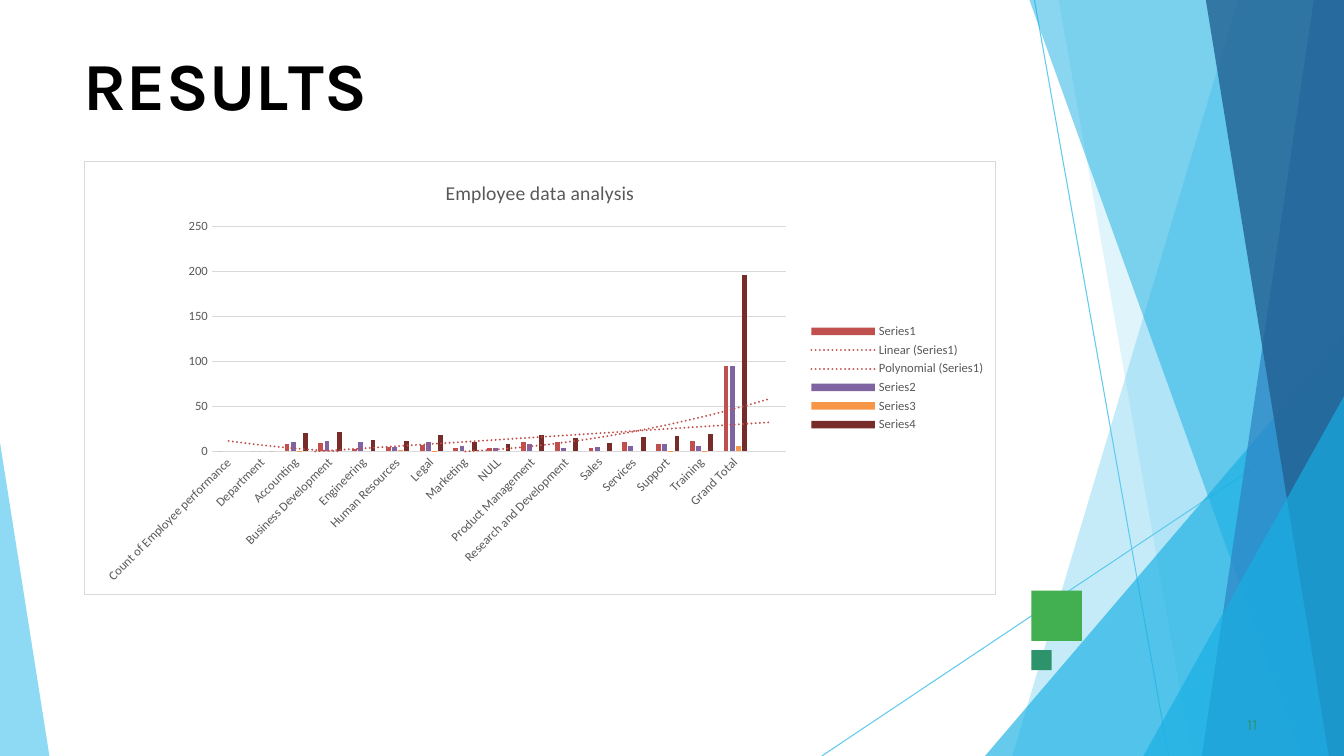
from pptx import Presentation
from pptx.chart.data import CategoryChartData
from pptx.dml.color import RGBColor
from pptx.enum.chart import XL_CHART_TYPE, XL_LEGEND_POSITION, XL_TICK_MARK
from pptx.enum.shapes import MSO_CONNECTOR, MSO_SHAPE
from pptx.enum.text import MSO_ANCHOR, MSO_AUTO_SIZE, PP_ALIGN
from pptx.oxml import parse_xml
from pptx.oxml.ns import qn
from pptx.util import Inches, Pt
from lxml import etree

COLUMNS = XL_CHART_TYPE.COLUMN_CLUSTERED
RIGHT = XL_LEGEND_POSITION.RIGHT
NO_TICK = XL_TICK_MARK.NONE
STRAIGHT = MSO_CONNECTOR.STRAIGHT
RECTANGLE = MSO_SHAPE.RECTANGLE
TOP = MSO_ANCHOR.TOP
NO_FIT = MSO_AUTO_SIZE.NONE
LEFT = PP_ALIGN.LEFT

BLACK = RGBColor(0x00, 0x00, 0x00)
WHITE = RGBColor(0xFF, 0xFF, 0xFF)
GREY = RGBColor(0x59, 0x59, 0x59)
RULE = RGBColor(0xD9, 0xD9, 0xD9)
SKY = RGBColor(0x5F, 0xCA, 0xEE)
CYAN = RGBColor(0x17, 0xAF, 0xE3)
BLUE = RGBColor(0x2D, 0x83, 0xC3)
NAVY = RGBColor(0x22, 0x61, 0x92)
GREEN = RGBColor(0x42, 0xAF, 0x51)
TEAL = RGBColor(0x2D, 0x93, 0x6B)
RED = RGBColor(0xC0, 0x50, 0x4D)
PURPLE = RGBColor(0x80, 0x64, 0xA2)
ORANGE = RGBColor(0xF7, 0x96, 0x46)
MAROON = RGBColor(0x77, 0x2C, 0x2A)

W, H = 13.33, 7.5
TITLE = [("R", 0), ("E", -40), ("S", 10), ("U", -30), ("L", -400), ("TS", 0)]
PAGE = "11"
RAYS = [(10.26, 0, 11.59, H), (W, 4.04, 8.15, H)]
FACETS = [
    ([(W, 0), (12.28, 0), (10.04, H), (W, H)], SKY, 36),
    ([(W, 0), (10.5, 0), (11.82, H), (W, H)], SKY, 20),
    ([(W, 3.33), (9.77, H), (W, H)], CYAN, 66),
    ([(W, 0), (10.21, 0), (12.91, H), (W, H)], CYAN, 50),
    ([(W, 0), (13.03, 0), (11.92, H), (W, H)], BLUE, 70),
    ([(W, 0), (11.96, 0), (13.18, H), (W, H)], NAVY, 80),
    ([(W, 3.93), (11.34, H), (W, H)], CYAN, 66),
    ([(0, 4.39), (0, H), (0.49, H)], SKY, 70),
]
SQUARES = [(10.23, 5.86, 0.5, GREEN), (10.23, 6.45, 0.2, TEAL)]

CHART_TITLE = "Employee data analysis"
DEPARTMENTS = [
    "Count of Employee performance", "Department", "Accounting",
    "Business Development", "Engineering", "Human Resources", "Legal",
    "Marketing", "NULL", "Product Management", "Research and Development",
    "Sales", "Services", "Support", "Training", "Grand Total", "",
]
N = None
SERIES = [
    ("Series1", RED, [0, 0, 8, 9, 3, 5, 7, 4, 4, 10, 11, 4, 10, 8, 12, 95, N]),
    ("Series2", PURPLE, [N, 0, 11, 12, 10, 5, 10, 6, 4, 8, 4, 5, 6, 8, 6, 95, N]),
    ("Series3", ORANGE, [N, 0, 1, N, N, 2, 1, N, N, N, N, N, N, 1, 1, 6, N]),
    ("Series4", MAROON, [N, 0, 20, 21, 13, 12, 18, 10, 8, 18, 15, 9, 16, 17, 19, 196, N]),
]
TRENDS = [
    ("Linear (Series1)", '<c:trendlineType val="linear"/>'),
    ("Polynomial (Series1)", '<c:trendlineType val="poly"/><c:order val="2"/>'),
]
PLOT_AREA = {"x": 0.14, "y": 0.15, "w": 0.63, "h": 0.52}
NS = ('xmlns:c="http://schemas.openxmlformats.org/drawingml/2006/chart" '
      'xmlns:a="http://schemas.openxmlformats.org/drawingml/2006/main"')


def set_font(font, size, color, name="Calibri", bold=False):
    font.size, font.name, font.bold = Pt(size), name, bold
    font.color.rgb = color


def paint(sp, color):
    sp.shadow.inherit = False
    sp.fill.solid()
    sp.fill.fore_color.rgb = color
    sp.line.fill.background()


def clear_margins(tf):
    tf.margin_left = tf.margin_right = tf.margin_bottom = 0
    tf.margin_top = Inches(0.01)
    tf.vertical_anchor = TOP
    tf.auto_size = NO_FIT
    tf.word_wrap = True


def add_backdrop(shapes):
    for ray in RAYS:
        line = shapes.add_connector(STRAIGHT, *map(Inches, ray))
        line.line.color.rgb = SKY
        line.line.width = Pt(0.75)
        etree.SubElement(line._element.spPr, qn("a:effectLst"))
    for points, color, opacity in FACETS:
        corners = [(Inches(x), Inches(y)) for x, y in points]
        builder = shapes.build_freeform(*corners[0])
        builder.add_line_segments(corners[1:], close=True)
        sp = builder.convert_to_shape()
        paint(sp, color)
        clr = sp._element.spPr.find(qn("a:solidFill"))[0]
        etree.SubElement(clr, qn("a:alpha")).set("val", str(opacity * 1000))
    for x, y, side, color in SQUARES:
        sp = shapes.add_shape(RECTANGLE, *map(Inches, (x, y, side, side)))
        paint(sp, color)


def add_title(title):
    title.left, title.top, title.width, title.height = map(
        Inches, (0.83, 0.42, 3.08, 0.81))
    tf = title.text_frame
    clear_margins(tf)
    p = tf.paragraphs[0]
    p.alignment = LEFT
    p.space_before = Pt(1.1)
    set_font(p.font, 48, BLACK, "Karla", True)
    for text, spacing in TITLE:
        r = p.add_run()
        r.text = text
        r.font._element.set("spc", str(spacing))


def add_page_number(shapes):
    tf = shapes.add_textbox(*map(Inches, (12.37, 7.08, 0.25, 0.21))).text_frame
    clear_margins(tf)
    p = tf.paragraphs[0]
    p.text = PAGE
    p.space_before = Pt(0.6)
    set_font(p.font, 11, TEAL, "Karla")


def add_chart(shapes):
    data = CategoryChartData()
    data.categories = DEPARTMENTS
    for name, _, values in SERIES:
        data.add_series(name, values)
    chart = shapes.add_chart(
        COLUMNS, *map(Inches, (0.83, 1.6, 9.05, 4.3)), data).chart
    set_font(chart.font, 10, BLACK)

    chart.has_title = True
    p = chart.chart_title.text_frame.paragraphs[0]
    p.text = CHART_TITLE
    set_font(p.font, 14, GREY)
    chart.has_legend = True
    chart.legend.position = RIGHT
    chart.legend.include_in_layout = False
    set_font(chart.legend.font, 9, GREY)

    for axis in (chart.category_axis, chart.value_axis):
        axis.major_tick_mark = axis.minor_tick_mark = NO_TICK
        set_font(axis.tick_labels.font, 9, GREY)
    line = chart.category_axis.format.line
    line.color.rgb, line.width = RULE, Pt(0.75)
    labels = chart.category_axis._element.find(qn("c:txPr"))
    labels.find(qn("a:bodyPr")).set("rot", "-2700000")
    values = chart.value_axis
    values.minimum_scale, values.maximum_scale, values.major_unit = 0, 250, 50
    values.format.line.fill.background()
    grid = values.major_gridlines.format.line
    grid.color.rgb, grid.width = RULE, Pt(0.75)

    plot = chart.plots[0]
    plot.gap_width, plot.overlap, plot.vary_by_categories = 219, -27, False
    for series, (_, color, _) in zip(plot.series, SERIES):
        series.format.fill.solid()
        series.format.fill.fore_color.rgb = color
    cat = plot.series[0]._element.find(qn("c:cat"))
    for name, kind in TRENDS:
        cat.addprevious(parse_xml(
            f'<c:trendline {NS}><c:name>{name}</c:name><c:spPr><a:ln w="19050" cap="rnd">'
            f'<a:solidFill><a:srgbClr val="{RED}"/></a:solidFill><a:prstDash val="sysDot"/>'
            f'</a:ln></c:spPr>{kind}<c:dispRSqr val="0"/><c:dispEq val="0"/></c:trendline>'))

    area = chart._chartSpace.chart.plotArea
    for old in area.findall(qn("c:layout")):
        area.remove(old)
    sizes = "".join(f'<c:{k} val="{v}"/>' for k, v in PLOT_AREA.items())
    area.insert(0, parse_xml(
        f'<c:layout {NS}><c:manualLayout><c:layoutTarget val="inner"/>'
        f'<c:xMode val="edge"/><c:yMode val="edge"/>{sizes}</c:manualLayout></c:layout>'))
    chart._chartSpace.find(qn("c:txPr")).addprevious(parse_xml(
        f'<c:spPr {NS}><a:solidFill><a:srgbClr val="{WHITE}"/></a:solidFill>'
        f'<a:ln w="9525"><a:solidFill><a:srgbClr val="{RULE}"/></a:solidFill></a:ln></c:spPr>'))


def main():
    prs = Presentation()
    prs.slide_width, prs.slide_height = Inches(W), Inches(H)
    s = prs.slides.add_slide(prs.slide_layouts[5])
    add_backdrop(s.shapes)
    add_title(s.shapes.title)
    add_page_number(s.shapes)
    add_chart(s.shapes)
    prs.save("out.pptx")


if __name__ == "__main__":
    main()
